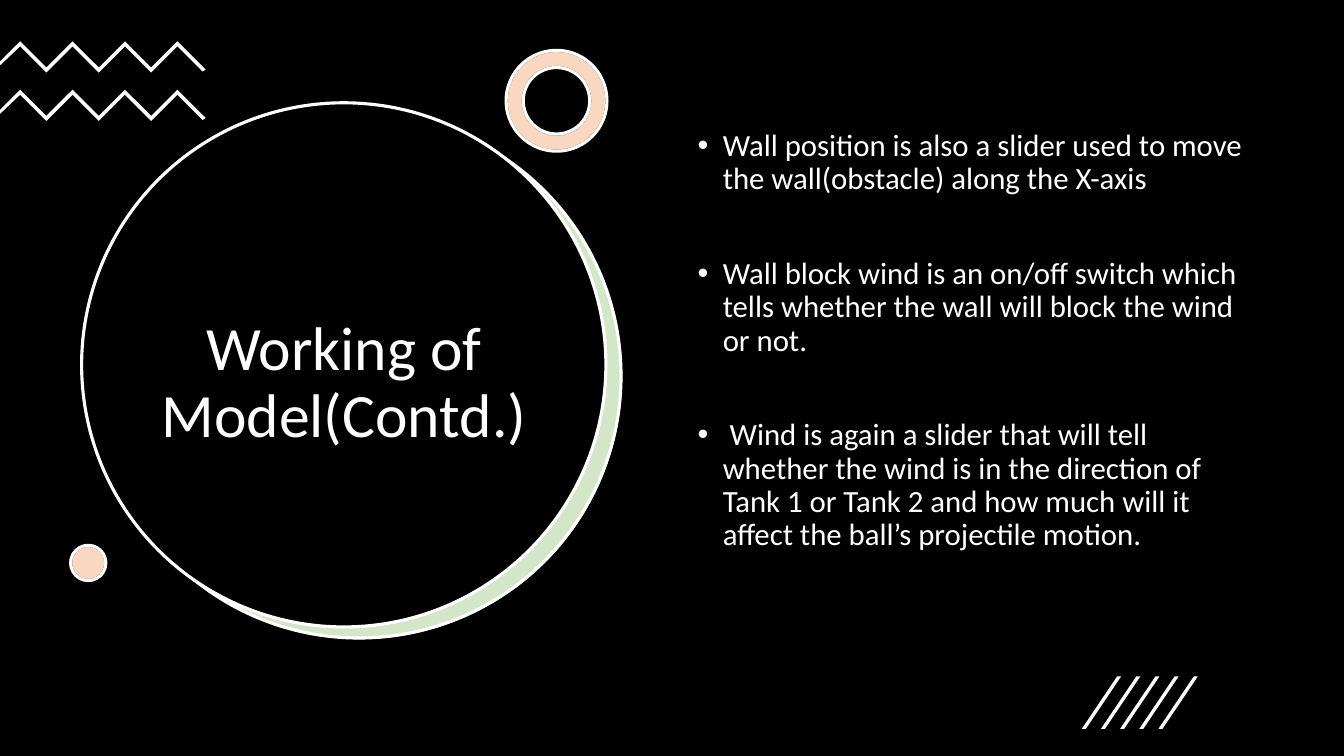
from dataclasses import dataclass

from lxml.etree import SubElement
from pptx import Presentation
from pptx.dml.color import RGBColor
from pptx.enum.shapes import MSO_SHAPE
from pptx.enum.text import MSO_ANCHOR, PP_ALIGN
from pptx.oxml.ns import qn
from pptx.util import Inches, Pt


@dataclass(frozen=True)
class Theme:
    font: str = "Calibri"
    black: RGBColor = RGBColor(0x00, 0x00, 0x00)
    white: RGBColor = RGBColor(0xFF, 0xFF, 0xFF)
    green: RGBColor = RGBColor(0x70, 0xAD, 0x47)
    orange: RGBColor = RGBColor(0xED, 0x7D, 0x31)
    tint: int = 30
    outline: float = 2.25
    title_size: int = 44
    body_size: int = 22
    bullet_gap: int = 44


THEME = Theme()

TITLE = "Working of Model(Contd.)"
POINTS = [
    "Wall position is also a slider used to move the wall(obstacle) along the X-axis",
    "Wall block wind is an on/off switch which tells whether the wall will block the wind or not.",
    " Wind is again a slider that will tell whether the wind is in the direction of Tank 1 "
    "or Tank 2 and how much will it affect the ball’s projectile motion.",
]


def paint(shape, fill, line=None, opacity=100):
    shape.shadow.inherit = False
    shape.fill.solid()
    shape.fill.fore_color.rgb = fill
    if opacity < 100:
        color = shape.element.spPr.find(qn("a:solidFill"))[0]
        SubElement(color, qn("a:alpha"), val=str(opacity * 1000))
    if line is None:
        shape.line.fill.background()
    else:
        shape.line.color.rgb = line
        shape.line.width = Pt(THEME.outline)


def add_preset(page, kind, left, top, width, height, fill, line=None, opacity=100):
    shape = page.shapes.add_shape(
        kind, Inches(left), Inches(top), Inches(width), Inches(height)
    )
    paint(shape, fill, line, opacity)
    return shape


def add_circle(page, left, top, size, fill, line=None, opacity=100):
    add_preset(page, MSO_SHAPE.OVAL, left, top, size, size, fill, line, opacity)


def add_tinted_accent(page, kind, left, top, size, thickness=None):
    layers = [
        add_preset(page, kind, left, top, size, size, THEME.white, THEME.black),
        add_preset(page, kind, left, top, size, size, THEME.orange, THEME.white, THEME.tint),
    ]
    if thickness is not None:
        for layer in layers:
            layer.adjustments[0] = thickness / size


def add_polygon(page, points):
    corners = [(Inches(x), Inches(y)) for x, y in points]
    builder = page.shapes.build_freeform(*corners[0], scale=1.0)
    builder.add_line_segments(corners[1:], close=True)
    paint(builder.convert_to_shape(), THEME.white)


def add_zigzag(page, top):
    step, thickness = 0.26, 0.05
    upper = [(0.2 + step * i, top + step * (i % 2)) for i in range(7)]
    lower = [(x, y + thickness) for x, y in reversed(upper)]
    right_end = [(2.04, top + 0.28), (2.01, top + 0.3)]
    left_end = [(0, top + 0.24), (0, top + 0.2)]
    add_polygon(page, upper + right_end + lower + left_end)


def add_stripe(page, left):
    top, bottom, slant, thickness = 6.71, 7.23, 0.35, 0.04
    add_polygon(page, [
        (left + thickness, bottom),
        (left, bottom),
        (left + slant, top),
        (left + slant + thickness, top),
    ])


def add_text_frame(page, left, top, width, height, anchor):
    box = page.shapes.add_textbox(
        Inches(left), Inches(top), Inches(width), Inches(height)
    )
    box.text_frame.word_wrap = True
    box.text_frame.vertical_anchor = anchor
    return box.text_frame


def style_paragraph(para, size):
    para.line_spacing = 0.9
    for span in para.runs:
        span.font.name = THEME.font
        span.font.size = Pt(size)
        span.font.color.rgb = THEME.white


def add_title(page):
    frame = add_text_frame(page, 1.21, 2.05, 4.41, 3.52, MSO_ANCHOR.MIDDLE)
    frame.text = TITLE
    para = frame.paragraphs[0]
    para.alignment = PP_ALIGN.CENTER
    style_paragraph(para, THEME.title_size)


def add_bullets(page):
    frame = add_text_frame(page, 6.82, 1.24, 5.71, 4.76, MSO_ANCHOR.TOP)
    for index, point in enumerate(POINTS):
        para = frame.add_paragraph() if index else frame.paragraphs[0]
        para.text = point
        style_paragraph(para, THEME.body_size)
        if index:
            para.space_before = Pt(THEME.bullet_gap)
        properties = para._p.get_or_add_pPr()
        properties.set("marL", str(Inches(0.25)))
        properties.set("indent", str(Inches(-0.25)))
        SubElement(properties, qn("a:buFont"), typeface="Arial")
        SubElement(properties, qn("a:buChar"), char="•")


def main():
    deck = Presentation()
    deck.slide_width, deck.slide_height = Inches(13.33), Inches(7.5)
    page = deck.slides.add_slide(deck.slide_layouts[6])

    add_preset(page, MSO_SHAPE.RECTANGLE, 0, 0, 13.33, 7.5, THEME.black)
    add_circle(page, 0.97, 1.14, 5.2, THEME.white)
    add_circle(page, 0.96, 1.13, 5.2, THEME.green, THEME.white, THEME.tint)
    add_circle(page, 0.81, 1.02, 5.2, THEME.black, THEME.white)
    add_title(page)

    for top in (0.41, 0.89):
        add_zigzag(page, top)
    add_tinted_accent(page, MSO_SHAPE.DONUT, 5.02, 0.5, 1, thickness=0.17)
    add_tinted_accent(page, MSO_SHAPE.OVAL, 0.7, 5.41, 0.35)
    add_bullets(page)
    for index in range(5):
        add_stripe(page, 10.73 + 0.19 * index)

    deck.save("out.pptx")


if __name__ == "__main__":
    main()
